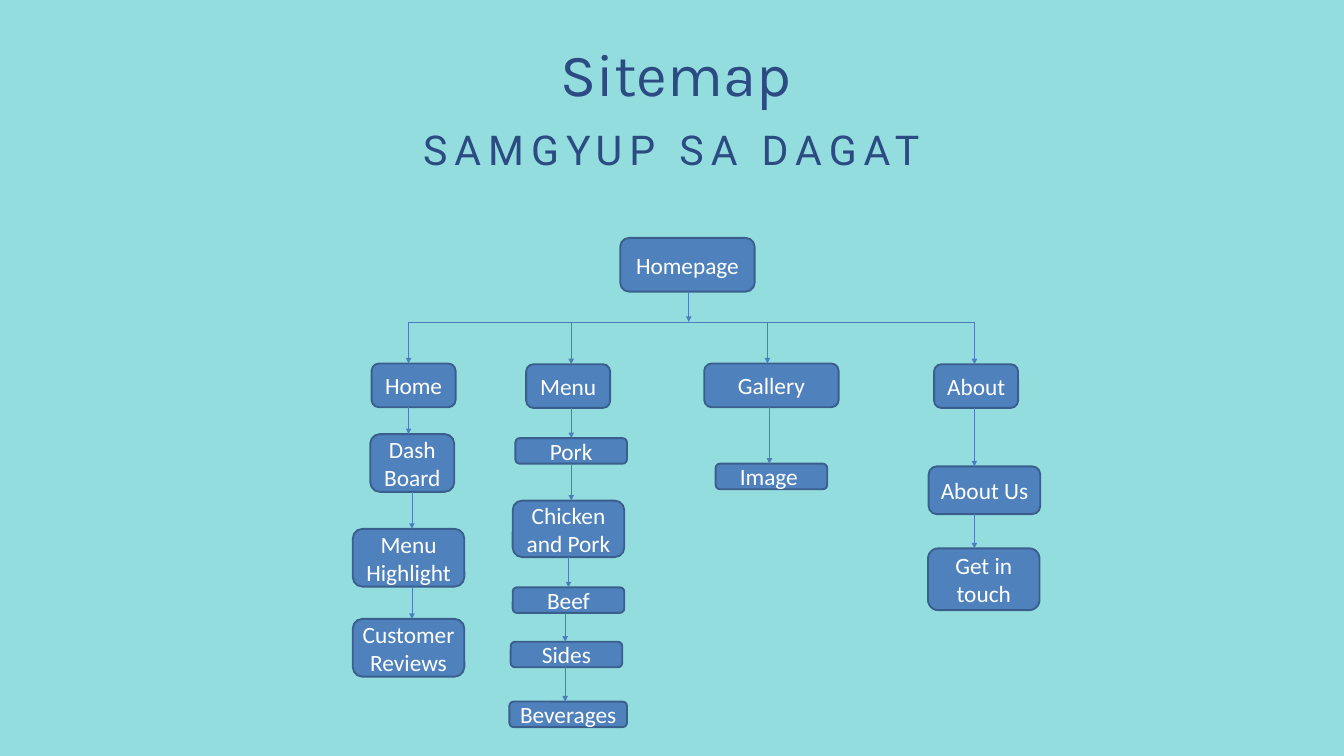
from lxml.etree import SubElement
from pptx import Presentation
from pptx.dml.color import RGBColor
from pptx.enum.shapes import MSO_CONNECTOR as Connector, MSO_SHAPE as Shape
from pptx.enum.text import MSO_ANCHOR as Anchor, PP_ALIGN as Align
from pptx.oxml.ns import qn
from pptx.util import Inches, Pt

BACKGROUND, HEADING = "94DDDE", "2B4B82"
BOX_FILL, BOX_LINE, BOX_TEXT, ARROW = "4F81BD", "3A5F8C", "FFFFFF", "4B7EBC"

# text, (left, top, width, height), anchor, line spacing, letter spacing, font
HEADINGS = [
    ("Sitemap", (1.23, 0.68, 17.65, 0.97), Anchor.TOP, 67.2, 0,
     {"name": "Karla", "size": Pt(64)}),
    ("SAMGYUP SA DAGAT", (5.91, 1.63, 8.17, 1.06), Anchor.MIDDLE, 61.6, 7.5,
     {"name": "Roboto", "size": Pt(44)}),
]

ROOT = ("Homepage", 9.23, 3.54, 2, 0.8)
ROOT_ARROW_X = 10.25
BUS_Y = 4.79

# Each branch runs downwards: text, left, top, width, height, x of the arrow into it
BRANCHES = [
    [("Home", 5.53, 5.41, 1.25, 0.65, 6.08),
     ("Dash Board", 5.51, 6.46, 1.25, 0.86, 6.08),
     ("Menu Highlight", 5.25, 7.87, 1.66, 0.86, 6.13),
     ("Customer Reviews", 5.25, 9.21, 1.66, 0.86, 6.13)],
    [("Menu", 7.83, 5.42, 1.25, 0.65, 8.5),
     ("Pork", 7.67, 6.52, 1.66, 0.38, 8.5),
     ("Chicken and Pork", 7.63, 7.45, 1.66, 0.84, 8.5),
     ("Beef", 7.63, 8.74, 1.66, 0.38, 8.46),
     ("Sides", 7.6, 9.55, 1.66, 0.38, 8.41),
     ("Beverages", 7.58, 10.44, 1.75, 0.38, 8.41)],
    [("Gallery", 10.48, 5.41, 2, 0.65, 11.42),
     ("Image ", 10.65, 6.9, 1.66, 0.38, 11.45)],
    [("About", 13.9, 5.42, 1.25, 0.65, 14.5),
     ("About Us", 13.82, 6.94, 1.66, 0.71, 14.5),
     ("Get in touch", 13.81, 8.16, 1.66, 0.92, 14.5)],
]


def rgb(value):
    return RGBColor.from_string(value)


def write(shape, text, color, anchor, font):
    """Put one centred run into the shape and return its paragraph."""
    frame = shape.text_frame
    frame.word_wrap = True
    frame.vertical_anchor = anchor
    paragraph = frame.paragraphs[0]
    paragraph.alignment = Align.CENTER
    run = paragraph.add_run()
    run.text = text
    run.font.color.rgb = rgb(color)
    for attribute, value in font.items():
        setattr(run.font, attribute, value)
    return paragraph


def add_heading(slide, text, place, anchor, leading, tracking, font):
    box = slide.shapes.add_textbox(*map(Inches, place))
    for side in ("left", "top", "right", "bottom"):
        setattr(box.text_frame, f"margin_{side}", 0)
    paragraph = write(box, text, HEADING, anchor, font)
    paragraph.line_spacing = Pt(leading)
    if tracking:
        properties = paragraph.runs[0]._r.get_or_add_rPr()
        properties.set("spc", str(int(tracking * 100)))


def add_page(slide, text, *place):
    page = slide.shapes.add_shape(Shape.ROUNDED_RECTANGLE, *map(Inches, place))
    page.shadow.inherit = False
    page.fill.solid()
    page.fill.fore_color.rgb = rgb(BOX_FILL)
    page.line.color.rgb = rgb(BOX_LINE)
    page.line.width = Pt(2)
    write(page, text, BOX_TEXT, Anchor.MIDDLE, {"name": "Calibri", "size": Pt(25)})


def add_line(slide, x1, y1, x2, y2, arrow=True):
    line = slide.shapes.add_connector(
        Connector.STRAIGHT, *map(Inches, (x1, y1, x2, y2)))
    line.line.color.rgb = rgb(ARROW)
    line.line.width = Pt(0.75)
    if arrow:
        SubElement(line.line._get_or_add_ln(), qn("a:tailEnd"), type="triangle")
    SubElement(line._element.spPr, qn("a:effectLst"))


def main():
    deck = Presentation()
    deck.slide_width, deck.slide_height = Inches(20), Inches(11.25)
    slide = deck.slides.add_slide(deck.slide_layouts[6])
    slide.background.fill.solid()
    slide.background.fill.fore_color.rgb = rgb(BACKGROUND)

    for heading in HEADINGS:
        add_heading(slide, *heading)

    add_page(slide, *ROOT)
    add_line(slide, ROOT_ARROW_X, ROOT[2] + ROOT[4], ROOT_ARROW_X, BUS_Y)
    add_line(slide, BRANCHES[0][0][-1], BUS_Y, BRANCHES[-1][0][-1], BUS_Y, arrow=False)

    for branch in BRANCHES:
        arrow_start = BUS_Y
        for text, left, top, width, height, arrow_x in branch:
            add_page(slide, text, left, top, width, height)
            add_line(slide, arrow_x, arrow_start, arrow_x, top)
            arrow_start = top + height

    deck.save("out.pptx")


if __name__ == "__main__":
    main()
